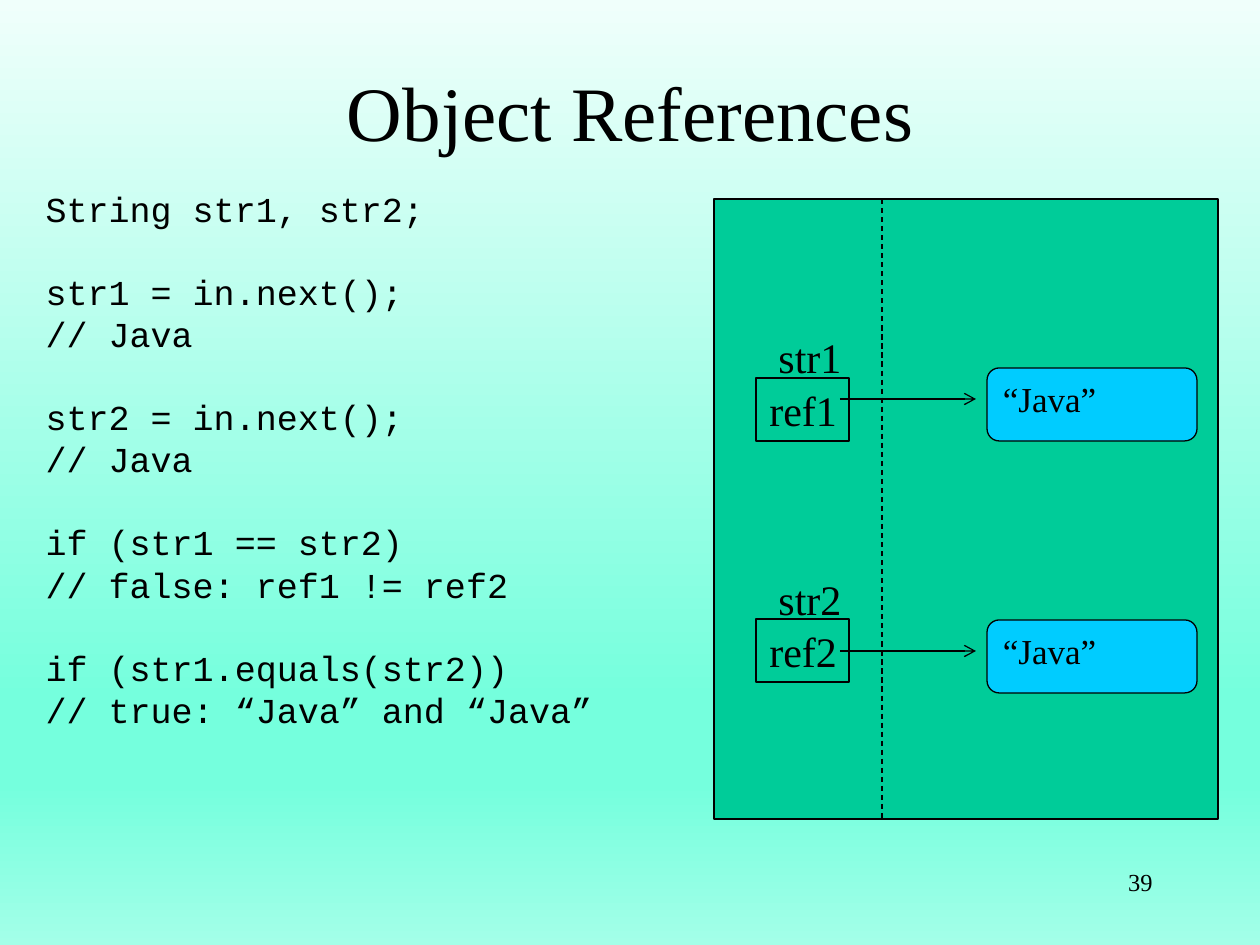
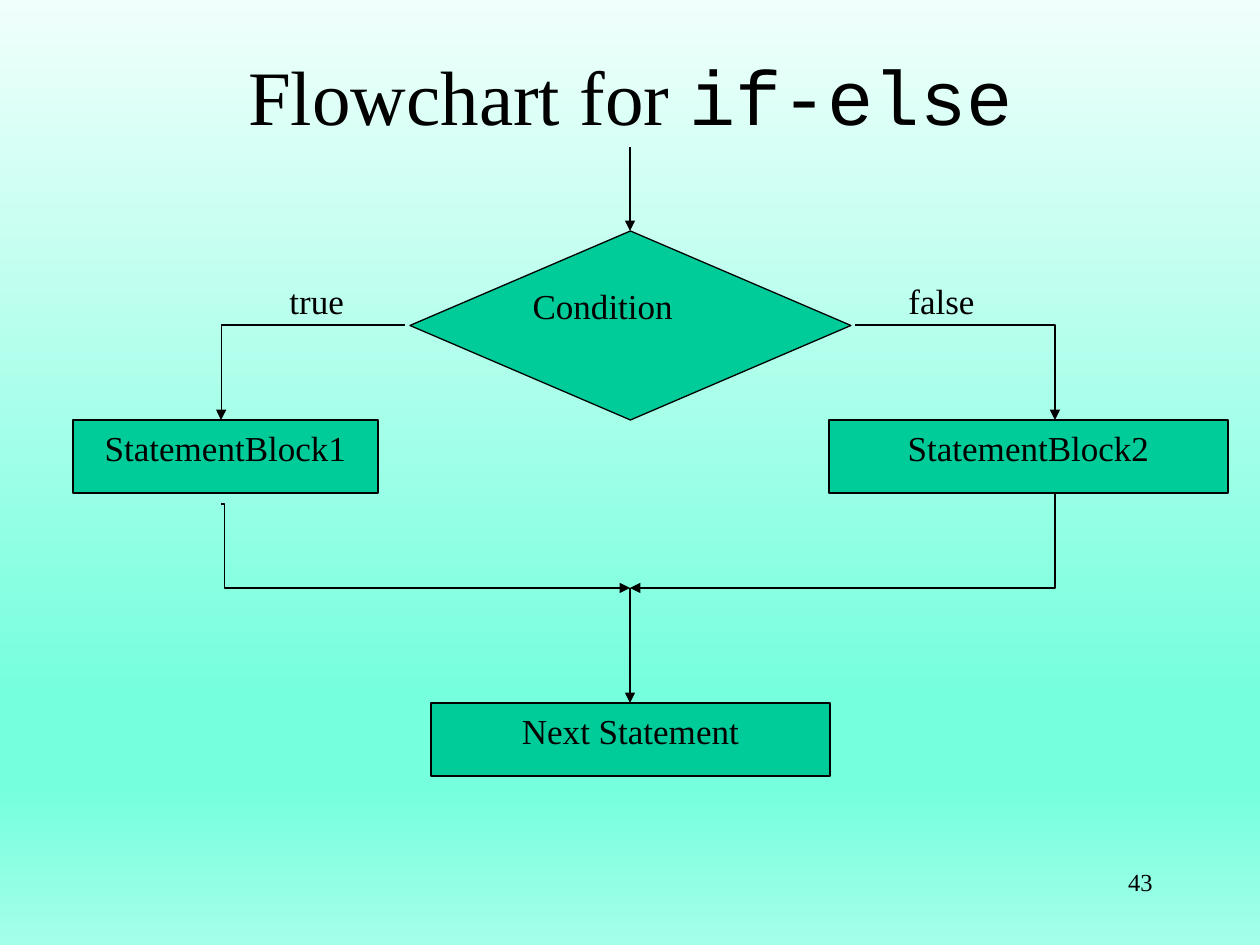
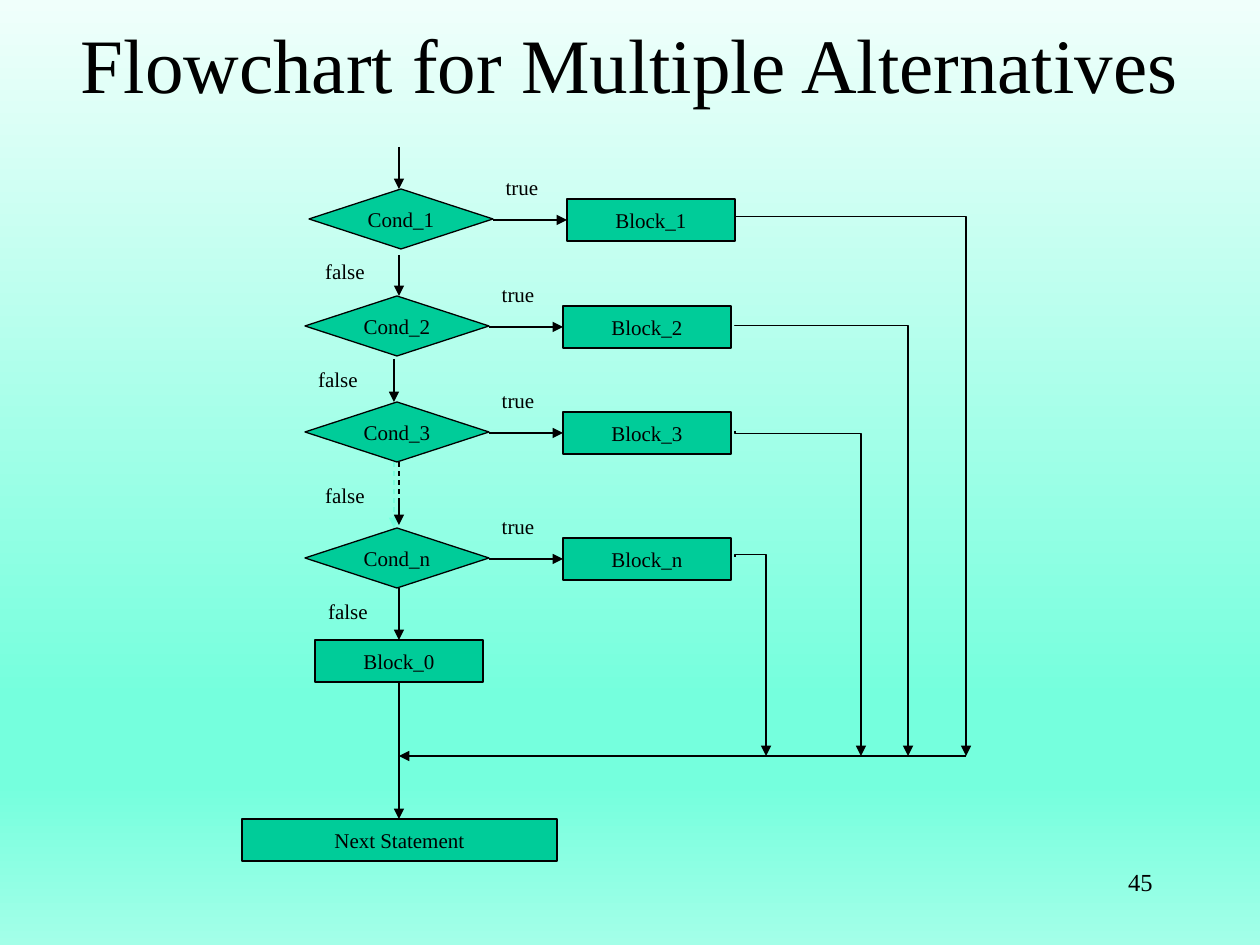
"""Build three Java lecture slides: object references and two flowcharts."""
from copy import deepcopy

from pptx import Presentation
from pptx.dml.color import RGBColor
from pptx.enum.dml import MSO_LINE
from pptx.enum.shapes import MSO_CONNECTOR, MSO_SHAPE
from pptx.enum.text import MSO_ANCHOR, MSO_AUTO_SIZE, PP_ALIGN
from pptx.oxml.ns import qn
from pptx.oxml.xmlchemy import OxmlElement
from pptx.util import Pt

EMU_PER_PX = 914400 / 126
LEFT, CENTER, RIGHT = PP_ALIGN.LEFT, PP_ALIGN.CENTER, PP_ALIGN.RIGHT
TOP, MIDDLE = MSO_ANCHOR.TOP, MSO_ANCHOR.MIDDLE
RECT, ROUND, DECISION = MSO_SHAPE.RECTANGLE, MSO_SHAPE.ROUNDED_RECTANGLE, MSO_SHAPE.FLOWCHART_DECISION
STRAIGHT, ELBOW = MSO_CONNECTOR.STRAIGHT, MSO_CONNECTOR.ELBOW
DASH, NO_FIT = MSO_LINE.DASH, MSO_AUTO_SIZE.NONE
SERIF, MONO = "Times New Roman", "Courier New"
COLORS = {"ink": "000000", "green": "00CC99", "blue": "00CCFF", "mint": "75FFDD"}
BACKGROUND = [(0, "F0FFFB"), (0.74, "75FFDD"), (0.83, "75FFDD"), (1, "A3FFE8")]
TITLE_ONLY, TITLE_AND_BODY = 5, 1


def emu(*lengths):
    return [round(length * EMU_PER_PX) for length in lengths]


class Lecture:
    def __init__(self):
        self.deck = Presentation()
        self.deck.slide_width, self.deck.slide_height = emu(1260, 945)
        self.page = None
        self.paint_background()

    def paint_background(self):
        master = self.deck.slide_master
        fill = master.background.fill
        fill.gradient()
        fill.gradient_angle = 270
        stops = master.element.find(".//" + qn("a:gsLst"))
        while len(stops) < len(BACKGROUND):
            stops.append(deepcopy(stops[0]))
        for stop, (position, color) in zip(fill.gradient_stops, BACKGROUND):
            stop.position = position
            stop.color.rgb = RGBColor.from_string(color)

    def add_span(self, para, text, size, font=SERIF):
        span = para.add_run()
        span.text = text
        span.font.name = font
        span.font.size = Pt(size)
        span.font.color.rgb = RGBColor.from_string(COLORS["ink"])

    def new_page(self, number, title, area, layout=TITLE_ONLY):
        self.page = self.deck.slides.add_slide(self.deck.slide_layouts[layout])
        box = self.page.shapes.title
        box.left, box.top, box.width, box.height = emu(*area)
        frame = box.text_frame
        frame.auto_size, frame.vertical_anchor = NO_FIT, MIDDLE
        para = frame.paragraphs[0]
        para.alignment = CENTER
        for text, font in title:
            self.add_span(para, text, 44, font)
        self.label(str(number), (903, 861, 262, 63), 14, RIGHT, wrap=True)

    def code(self, groups, area):
        box = self.page.placeholders[1]
        box.left, box.top, box.width, box.height = emu(*area)
        frame = box.text_frame
        frame.auto_size, frame.vertical_anchor = NO_FIT, TOP
        para = frame.paragraphs[0]
        for group_index, group in enumerate(groups):
            for line_index, line in enumerate(group):
                if group_index or line_index:
                    para = frame.add_paragraph()
                para.line_spacing = 0.8
                para.space_before = Pt(5 if line_index or not group_index else 28.2)
                properties = para._p.get_or_add_pPr()
                properties.set("marL", "457200")
                properties.set("indent", "-457200")
                properties.append(OxmlElement("a:buNone"))
                self.add_span(para, line, 20, MONO)

    def label(self, text, area, size, align=LEFT, anchor=TOP, wrap=False):
        box = self.page.shapes.add_textbox(*emu(*area))
        self.fill_text(box.text_frame, text, size, align, anchor, wrap)

    def fill_text(self, frame, text, size, align, anchor, wrap):
        frame.word_wrap, frame.vertical_anchor = wrap, anchor
        para = frame.paragraphs[0]
        para.alignment = align
        self.add_span(para, text, size)

    def node(self, kind, area, text="", size=20, align=CENTER, anchor=TOP, fill="green"):
        box = self.page.shapes.add_shape(kind, *emu(*area))
        box.shadow.inherit = False
        box.fill.solid()
        box.fill.fore_color.rgb = RGBColor.from_string(COLORS[fill])
        box.line.color.rgb = RGBColor.from_string(COLORS["ink"])
        box.line.width = Pt(0.75)
        if text:
            self.fill_text(box.text_frame, text, size, align, anchor, align == LEFT)

    def line(self, start, end, head="triangle", dashed=False, color="ink", kind=STRAIGHT):
        link = self.page.shapes.add_connector(kind, *emu(*start, *end))
        link.line.color.rgb = RGBColor.from_string(COLORS[color])
        link.line.width = Pt(0.75)
        if dashed:
            link.line.dash_style = DASH
        properties = link._element.spPr
        if head:
            tail = OxmlElement("a:tailEnd")
            tail.set("type", head)
            properties.find(qn("a:ln")).append(tail)
        properties.append(OxmlElement("a:effectLst"))
        return link

    def elbow(self, start, end, bend=None, turn=0):
        """Draw a bent arrow; bend is in 1/1000 percent, turn in degrees."""
        if turn:
            middle_x, middle_y = (start[0] + end[0]) / 2, (start[1] + end[1]) / 2
            reach = abs(end[1] - start[1]) / 2 * (1 if turn == 90 else -1)
            rise = abs(end[0] - start[0]) / 2
            start = middle_x - reach, middle_y - rise
            end = middle_x + reach, middle_y + rise
        properties = self.line(start, end, kind=ELBOW)._element.spPr
        if turn:
            properties.find(qn("a:xfrm")).set("rot", str(turn * 60000))
        geometry = properties.find(qn("a:prstGeom"))
        if bend is None:
            geometry.set("prst", "bentConnector2")
        else:
            guide = OxmlElement("a:gd")
            guide.set("name", "adj1")
            guide.set("fmla", f"val {bend}")
            geometry.find(qn("a:avLst")).append(guide)


def object_references(lecture):
    lecture.new_page(39, [("Object References", SERIF)], (95, 53, 1071, 116), TITLE_AND_BODY)
    lecture.code([
        ["String str1, str2;"],
        ["str1 = in.next();", "// Java"],
        ["str2 = in.next();", "// Java"],
        ["if (str1 == str2)", "// false: ref1 != ref2"],
        ["if (str1.equals(str2))", "// true: “Java” and “Java”"],
    ], (33, 189, 629, 662))
    lecture.node(RECT, (714, 199, 504, 620))
    for number, box_top, name_top, object_top in ((1, 378, 325, 368), (2, 619, 567, 620)):
        lecture.node(RECT, (756, box_top, 93, 63))
        lecture.label(f"str{number}", (766, name_top, 95, 63), 24, wrap=True)
        lecture.node(ROUND, (987, object_top, 210, 73), "“Java”", align=LEFT, fill="blue")
        lecture.line((840, object_top + 31), (976, object_top + 31), "arrow")
        lecture.label(f"ref{number}", (757, box_top, 93, 63), 24)
    lecture.line((882, 199), (882, 819), None, dashed=True)


def if_else_flowchart(lecture):
    lecture.new_page(43, [("Flowchart for ", SERIF), ("if-else", MONO)], (95, 42, 1071, 105))
    lecture.line((630, 147), (630, 231))
    lecture.node(DECISION, (410, 231, 441, 189), "Condition", align=LEFT)
    lecture.elbow((405, 325), (221, 420), 99900)
    lecture.elbow((855, 325), (1055, 420))
    lecture.elbow((221, 504), (630, 588), 800)
    lecture.elbow((1055, 494), (630, 588), turn=90)
    lecture.line((630, 588), (630, 703))
    lecture.label("true", (277, 273, 80, 55), 20)
    lecture.label("false", (896, 273, 92, 55), 20)
    for text, left, top, width in (("StatementBlock1", 73, 420, 305),
                                   ("StatementBlock2", 829, 420, 399),
                                   ("Next Statement", 431, 703, 399)):
        lecture.node(RECT, (left, top, width, 73), text)


def alternatives_flowchart(lecture):
    lecture.new_page(45, [("Flowchart for Multiple Alternatives", SERIF)], (63, 10, 1134, 105))
    small = {"size": 12, "align": CENTER, "anchor": MIDDLE}
    rows = (("1", 309, 189, 220, 966, -700), ("2", 305, 296, 325, 908, 100),
            ("3", 305, 402, 431, 861, 800), ("n", 305, 528, 557, 766, -1300))
    for name, left, top, exit_top, exit_right, bend in rows:
        right, block_left = left + 184, left + 258
        lecture.node(DECISION, (left, top, 184, 60), f"Cond_{name}", **small)
        lecture.node(RECT, (block_left, top + 10, 168, 42), f"Block_{name}", **small)
        lecture.line((right, top + 31), (block_left, top + 31))
        lecture.label("true", (right, top - 21, 58, 38), **small)
        lecture.elbow((735, exit_top), (exit_right, 756), bend, 270)
    for left, top in ((312, 252), (305, 360), (312, 476), (315, 592)):
        lecture.label("false", (left, top, 66, 38), **small)
    lecture.line((394, 462), (394, 528), dashed=True, color="mint")
    lecture.line((399, 462), (399, 503), None, dashed=True)
    for x, top, bottom in ((399, 147, 189), (399, 255, 296), (394, 359, 402),
                           (399, 499, 525), (399, 588, 640), (399, 683, 819)):
        lecture.line((x, top), (x, bottom))
    lecture.line((966, 756), (399, 756))
    lecture.node(RECT, (315, 640, 168, 42), "Block_0", **small)
    lecture.node(RECT, (242, 819, 315, 42), "Next Statement", **small)


def main():
    lecture = Lecture()
    object_references(lecture)
    if_else_flowchart(lecture)
    alternatives_flowchart(lecture)
    lecture.deck.save("out.pptx")


if __name__ == "__main__":
    main()
